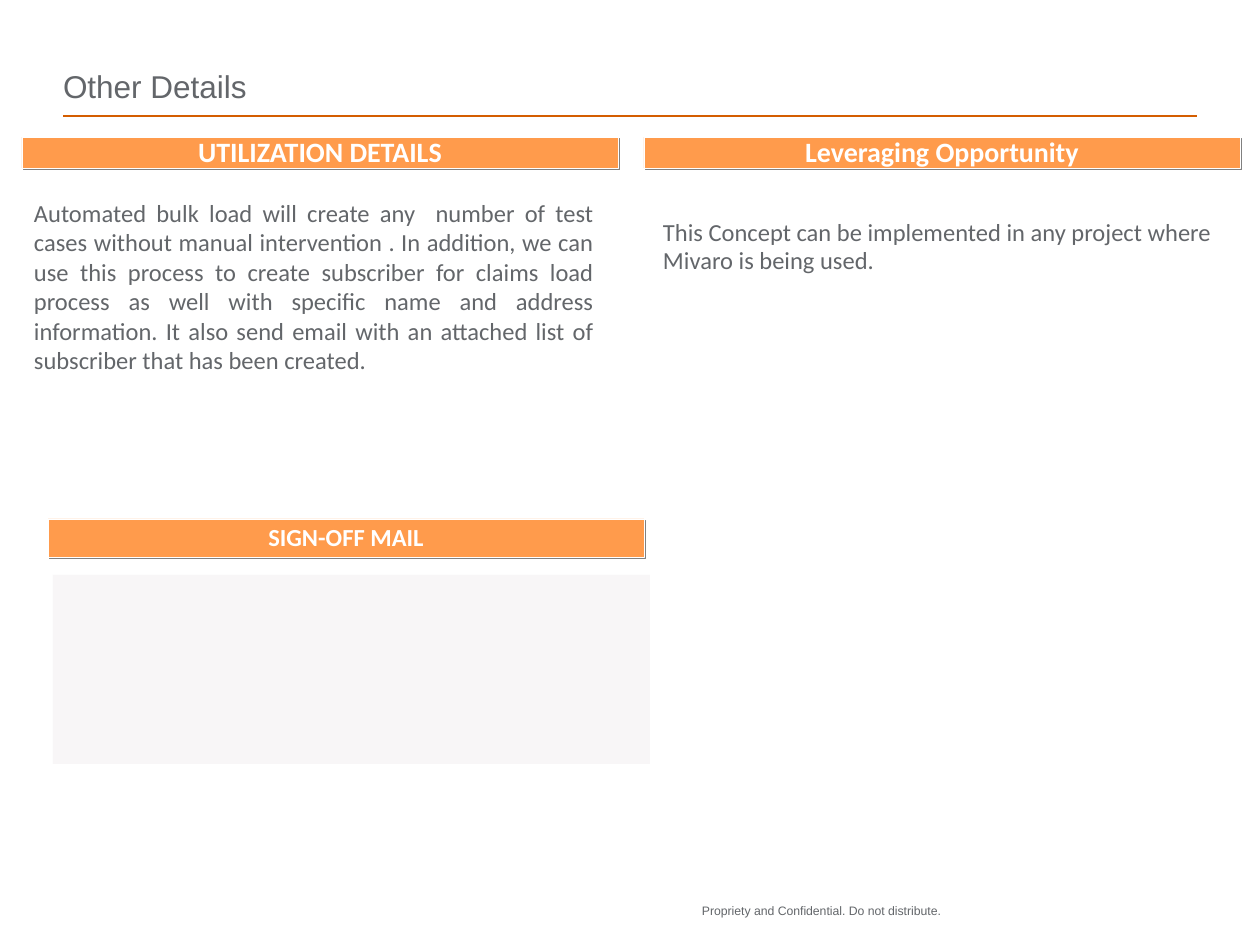
from lxml.etree import SubElement
from pptx import Presentation
from pptx.dml.color import RGBColor
from pptx.enum.shapes import MSO_CONNECTOR, MSO_SHAPE
from pptx.enum.text import MSO_ANCHOR as ANCHOR, MSO_AUTO_SIZE as AUTO_SIZE, PP_ALIGN as ALIGN
from pptx.oxml.ns import qn
from pptx.util import Pt

PX = 914400 / 126
GREY = RGBColor(0x63, 0x66, 0x6A)
ORANGE = RGBColor(0xFF, 0x9B, 0x4C)
RULE = RGBColor(0xD4, 0x5D, 0x00)
PALE = RGBColor(0xF4, 0xF0, 0xF3)
WHITE = RGBColor(0xFF, 0xFF, 0xFF)


def box(*lengths):
    return [round(n * PX) for n in lengths]


def write(shape, text, size, font="Calibri", color=GREY, bold=False, align=ALIGN.LEFT,
          spacing=1.0, anchor=ANCHOR.TOP, wrap=True, inset=(13, 6)):
    frame = shape.text_frame
    frame.auto_size = AUTO_SIZE.NONE
    frame.word_wrap = wrap
    frame.vertical_anchor = anchor
    frame.margin_left = frame.margin_right = round(inset[0] * PX)
    frame.margin_top = frame.margin_bottom = round(inset[1] * PX)
    paragraph = frame.paragraphs[0]
    paragraph.alignment = align
    paragraph.line_spacing = spacing
    run = paragraph.add_run()
    run.text = text
    run.font.name, run.font.size, run.font.bold = font, Pt(size), bold
    run.font.color.rgb = color


deck = Presentation()
deck.slide_width, deck.slide_height = box(1260, 945)
slide = deck.slides.add_slide(deck.slide_layouts[5])
shapes = slide.shapes

# Title and the rule below it
title = shapes.title
title.left, title.top, title.width, title.height = box(63, 21, 1134, 84)
write(title, "Other Details", 18, font="Arial", anchor=ANCHOR.BOTTOM, inset=(0, 0))
rule = shapes.add_connector(MSO_CONNECTOR.STRAIGHT, *box(63, 116, 1197, 116))
rule.line.color.rgb = RULE
rule.line.width = Pt(1)
SubElement(rule._element.spPr, qn("a:effectLst"))

# Section headings with a hard grey shadow
for heading, left, top, height, size in [
    ("UTILIZATION DETAILS", 22, 137, 31, 16),
    ("Leveraging Opportunity", 644, 137, 31, 16),
    ("SIGN-OFF MAIL", 48, 519, 38, 14),
]:
    bar = shapes.add_shape(MSO_SHAPE.RECTANGLE, *box(left, top, 596, height))
    bar.fill.solid()
    bar.fill.fore_color.rgb = ORANGE
    bar.line.color.rgb = WHITE
    bar.line.width = Pt(0.25)
    bar.shadow.inherit = False
    effects = bar._element.spPr.find(qn("a:effectLst"))
    shadow = SubElement(effects, qn("a:outerShdw"), blurRad="0", dist=str(Pt(1.4)),
                        dir="2700000", algn="ctr", rotWithShape="0")
    SubElement(shadow, qn("a:srgbClr"), val="808080")
    write(bar, heading, size, color=WHITE, bold=True, align=ALIGN.CENTER,
          spacing=0.95, anchor=ANCHOR.MIDDLE, wrap=False)

# Section texts
utilization = (
    "Automated bulk load will create any  number of test cases without manual "
    "intervention . In addition, we can use this process to create subscriber for "
    "claims load process as well with specific name and address information. It also "
    "send email with an attached list of subscriber that has been created."
)
leveraging = "This Concept can be implemented in any project where Mivaro is being used."
for text, left, top, align, spacing in [
    (utilization, 21, 192, ALIGN.JUSTIFY, 1.0),
    (leveraging, 650, 213, ALIGN.LEFT, 0.95),
]:
    write(shapes.add_textbox(*box(left, top, 586, 299)), text, 14,
          align=align, spacing=spacing)

# Empty panel for the sign-off mail
panel = shapes.add_shape(MSO_SHAPE.RECTANGLE, *box(53, 575, 597, 189))
panel.shadow.inherit = False
panel.line.fill.background()
panel.fill.solid()
panel.fill.fore_color.rgb = PALE
tint = panel._element.spPr.find(qn("a:solidFill")).find(qn("a:srgbClr"))
SubElement(tint, qn("a:alpha"), val="60000")

# Footer
write(shapes.add_textbox(*box(702, 903, 262, 32)),
      "Propriety and Confidential. Do not distribute.", 7,
      font="Arial", wrap=False, inset=(0, 0))

deck.save("out.pptx")
